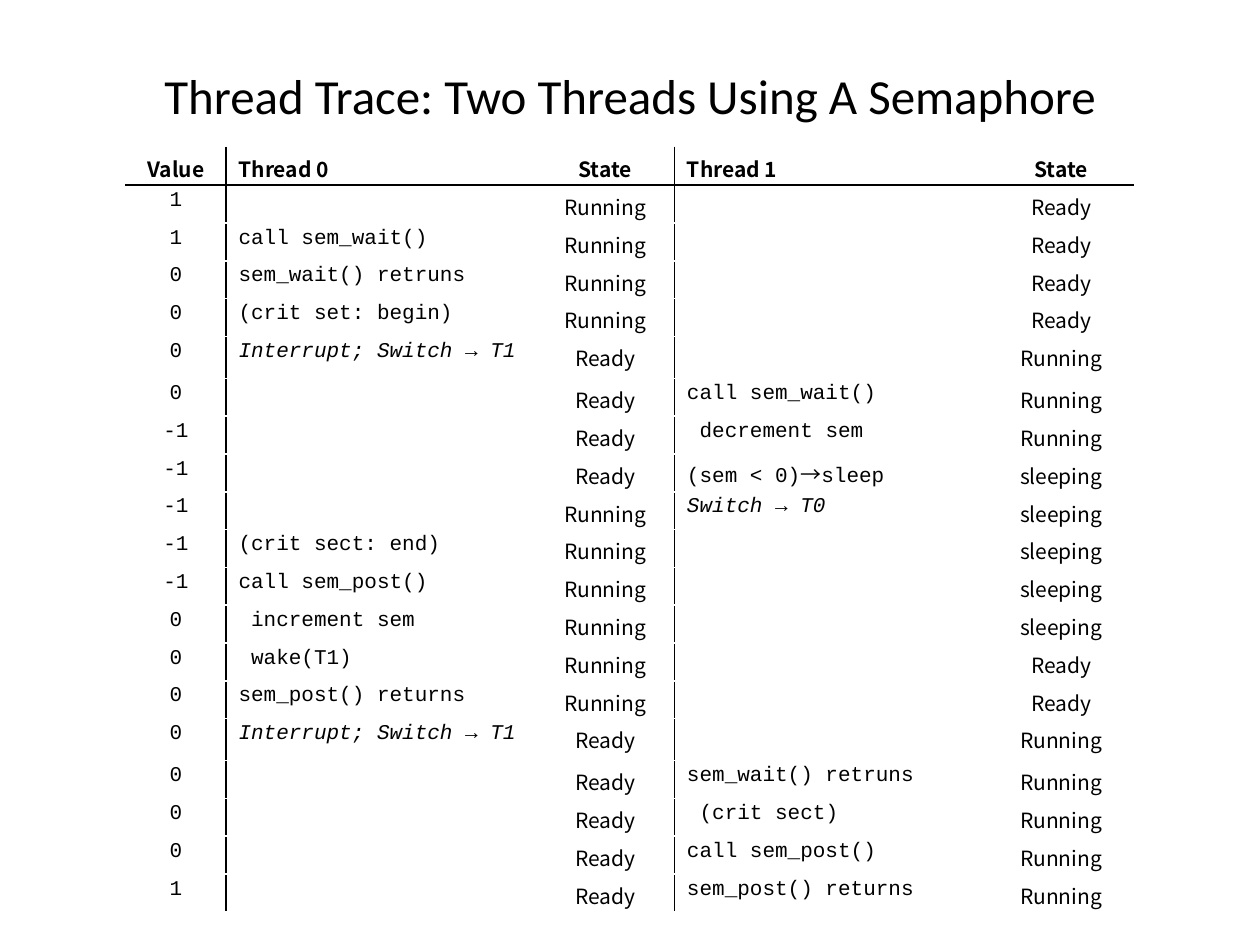
from lxml.etree import SubElement
from pptx import Presentation
from pptx.dml.color import RGBColor
from pptx.enum.text import MSO_ANCHOR, PP_ALIGN
from pptx.oxml.ns import qn
from pptx.util import Pt

BLACK = RGBColor(0, 0, 0)
WHITE = RGBColor(255, 255, 255)
SANS, CODE = "Noto Sans CJK KR", "Courier New"

TITLE = "Thread Trace: Two Threads Using A Semaphore"
HEAD = ("Value", "Thread 0", "State", "Thread 1", "State")
# Value, thread 0 step, its state, thread 1 step, its state
TRACE = [
    ("1", "", "Running", "", "Ready"),
    ("1", "call sem_wait()", "Running", "", "Ready"),
    ("0", "sem_wait() retruns", "Running", "", "Ready"),
    ("0", "(crit set: begin)", "Running", "", "Ready"),
    ("0", "Interrupt; Switch → T1", "Ready", "", "Running"),
    ("0", "", "Ready", "call sem_wait()", "Running"),
    ("-1", "", "Ready", "decrement sem", "Running"),
    ("-1", "", "Ready", "(sem < 0)→sleep", "sleeping"),
    ("-1", "", "Running", "Switch → T0", "sleeping"),
    ("-1", "(crit sect: end)", "Running", "", "sleeping"),
    ("-1", "call sem_post()", "Running", "", "sleeping"),
    ("0", "increment sem", "Running", "", "sleeping"),
    ("0", "wake(T1)", "Running", "", "Ready"),
    ("0", "sem_post() returns", "Running", "", "Ready"),
    ("0", "Interrupt; Switch → T1", "Ready", "", "Running"),
    ("0", "", "Ready", "sem_wait() retruns", "Running"),
    ("0", "", "Ready", "(crit sect)", "Running"),
    ("0", "", "Ready", "call sem_post()", "Running"),
    ("1", "", "Ready", "sem_post() returns", "Running"),
]
NESTED = {"decrement sem", "increment sem", "wake(T1)", "(crit sect)"}
WIDTHS = (57.1, 177.1, 79.2, 180, 82.1)
STEPS = (1, 3)  # columns that hold thread steps
ROW, TALL = 21.6, 24  # a row with an interrupt is taller


def style(run, font, size, bold=False, italic=False):
    run.font.name, run.font.size = font, Pt(size)
    run.font.bold, run.font.italic = bold, italic
    run.font.color.rgb = BLACK


def border(cell, side, color, width):
    line = SubElement(cell._tc.get_or_add_tcPr(), qn("a:ln" + side),
                      w=str(Pt(width)))
    fill = SubElement(line, qn("a:solidFill"))
    SubElement(fill, qn("a:srgbClr"), val=str(color))


def frame(cell, row, col):
    """Rule the cell: black left of each step column and under the head."""
    dark = {"L": col in STEPS, "R": col + 1 in STEPS,
            "T": row == 1, "B": row == 0}
    for side, on in dark.items():
        thick = on and side in "TB"
        border(cell, side, BLACK if on else WHITE, 1.5 if thick else 1)
    cell.fill.background()


def write(cell, text, row, col):
    head, step = row == 0, col in STEPS
    font = SANS if head or col in (2, 4) else CODE
    mixed = "→sleep" in text
    cell.margin_left = Pt((14.4 if text in NESTED else 7.2) if step else 0)
    cell.margin_right = cell.margin_bottom = 0
    cell.margin_top = Pt(3.4 if font == SANS else 2.5 if mixed else 2.1)
    cell.vertical_anchor = MSO_ANCHOR.TOP
    para = cell.text_frame.paragraphs[0]
    para.alignment = PP_ALIGN.LEFT if step else PP_ALIGN.CENTER
    if not text:
        SubElement(para._p, qn("a:endParaRPr"), sz="1200")
        return
    for part in text.partition("→") if mixed else (text,):
        run = para.add_run()
        run.text = part
        style(run, SANS if part == "→" else font, 12, head, "Switch" in text)


deck = Presentation()
deck.slide_width, deck.slide_height = Pt(720), Pt(540)
slide = deck.slides.add_slide(deck.slide_layouts[6])

# Title
box = slide.shapes.add_textbox(Pt(36), Pt(8.64), Pt(648), Pt(90)).text_frame
box.word_wrap = True
box.vertical_anchor = MSO_ANCHOR.MIDDLE
box.margin_left = box.margin_right = box.margin_bottom = 0
box.margin_top = Pt(1)
box.text = TITLE
box.paragraphs[0].alignment = PP_ALIGN.CENTER
style(box.paragraphs[0].runs[0], "Calibri", 28)

# Trace table
rows = [HEAD] + TRACE
highs = [TALL if "Interrupt" in row[1] else ROW for row in rows]
table = slide.shapes.add_table(len(rows), len(HEAD), Pt(72), Pt(84.24),
                               Pt(sum(WIDTHS)), Pt(sum(highs))).table
table.first_row = table.horz_banding = False
for col, width in zip(table.columns, WIDTHS):
    col.width = Pt(width)
for r, texts in enumerate(rows):
    table.rows[r].height = Pt(highs[r])
    for c, text in enumerate(texts):
        cell = table.cell(r, c)
        write(cell, text, r, c)
        frame(cell, r, c)

deck.save("out.pptx")
